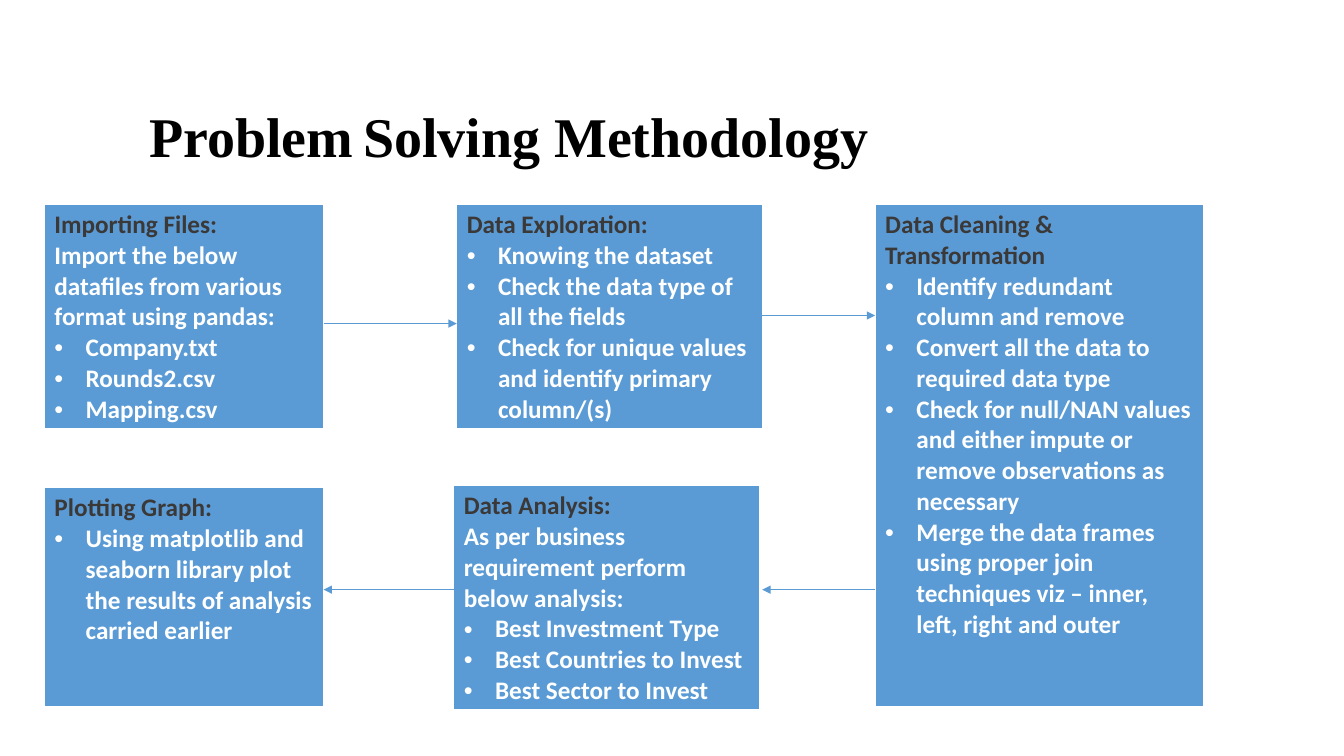
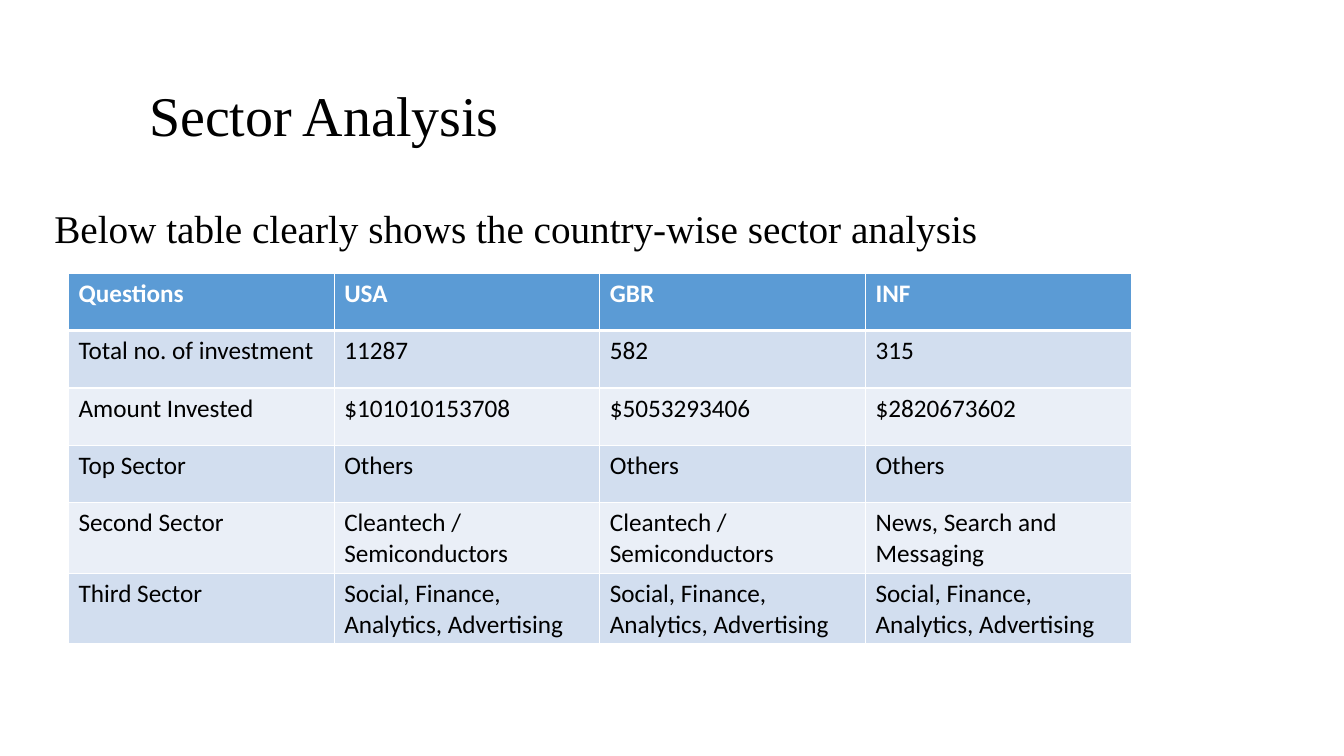
from lxml.etree import SubElement
from pptx import Presentation
from pptx.dml.color import RGBColor
from pptx.enum.shapes import MSO_CONNECTOR
from pptx.enum.text import MSO_ANCHOR, MSO_AUTO_SIZE, PP_ALIGN
from pptx.oxml.ns import qn
from pptx.util import Inches, Pt

COLORS = {
    "accent": "5B9BD5",
    "band_dark": "D2DEEF",
    "band_light": "EAEFF7",
    "heading": "3B3838",
    "text": "000000",
    "white": "FFFFFF",
}
SERIF = "Times New Roman"
SANS = "Calibri"

LEFT, CENTER, RIGHT = 0.44, 4.53, 8.68
TOP_ROW, BOTTOM_ROW = 2.03, 4.82
BOTTOM_ARROW = 5.85

CARDS = [
    (LEFT, TOP_ROW, 2.77, 2.2, "Importing Files:",
     "Import the below datafiles from various format using pandas:",
     ["Company.txt", "Rounds2.csv", "Mapping.csv"]),
    (CENTER, TOP_ROW, 3.03, 2.2, "Data Exploration:", None,
     ["Knowing the dataset",
      "Check the data type of all the fields",
      "Check for unique values and identify primary column/(s)"]),
    (RIGHT, TOP_ROW, 3.26, 4.99, "Data Cleaning & Transformation", None,
     ["Identify redundant column and remove",
      "Convert all the data to required data type",
      "Check for null/NAN values and either impute or remove observations as necessary",
      "Merge the data frames using proper join techniques viz – inner, left, right and outer"]),
    (4.5, BOTTOM_ROW, 3.03, 2.2, "Data Analysis:",
     "As per business requirement perform below analysis:",
     ["Best Investment Type", "Best Countries to Invest", "Best Sector to Invest"]),
    (LEFT, 4.84, 2.77, 2.18, "Plotting Graph:", None,
     ["Using matplotlib and seaborn library plot the results of analysis carried earlier"]),
]
ARROWS = [
    (3.21, CENTER, 3.21),
    (7.56, RIGHT, 3.13),
    (RIGHT, 7.56, BOTTOM_ARROW),
    (4.5, 3.21, BOTTOM_ARROW),
]
SECTORS = [
    ["Questions", "USA", "GBR", "INF"],
    ["Total no. of investment", "11287", "582", "315"],
    ["Amount Invested", "$101010153708", "$5053293406", "$2820673602"],
    ["Top Sector"] + ["Others"] * 3,
    ["Second Sector"] + ["Cleantech / Semiconductors"] * 2 + ["News, Search and Messaging"],
    ["Third Sector"] + ["Social, Finance, Analytics, Advertising"] * 3,
]


class Deck:
    def __init__(self):
        self.presentation = Presentation()
        self.presentation.slide_width = Inches(13.33)
        self.presentation.slide_height = Inches(7.5)
        self.slide = None

    def new_slide(self):
        self.slide = self.presentation.slides.add_slide(self.presentation.slide_layouts[5])

    def style(self, paragraph, size, color, face=SANS, bold=False):
        font = paragraph.font
        font.name, font.size, font.bold = face, Pt(size), bold
        font.color.rgb = RGBColor.from_string(COLORS[color])

    def title(self, top, parts, bold=False):
        heading = self.slide.shapes.title
        heading.left, heading.top = Inches(1.38), Inches(top)
        heading.width, heading.height = Inches(10.19), Inches(0.94)
        frame = heading.text_frame
        frame.auto_size = MSO_AUTO_SIZE.NONE
        frame.vertical_anchor = MSO_ANCHOR.MIDDLE
        paragraph = frame.paragraphs[0]
        paragraph.alignment = PP_ALIGN.LEFT
        paragraph.line_spacing = 0.9
        self.style(paragraph, 40, "text", SERIF, bold)
        for text, size in parts:
            run = paragraph.add_run()
            run.text = text
            run.font.size = Pt(size)

    def statement(self, left, top, width, height, text):
        box = self.slide.shapes.add_textbox(
            Inches(left), Inches(top), Inches(width), Inches(height))
        box.text_frame.word_wrap = True
        paragraph = box.text_frame.paragraphs[0]
        paragraph.text = text
        paragraph.line_spacing = 0.9
        self.style(paragraph, 28, "text", SERIF)

    def grid(self, rows, columns, left, top, width, height):
        table = self.slide.shapes.add_table(
            rows, columns, Inches(left), Inches(top), Inches(width), Inches(height)).table
        table.first_row = table.horz_banding = False
        return table

    def paint_cell(self, cell, fill, top=None, bottom=1):
        properties = cell._tc.get_or_add_tcPr()
        for side, weight in (("L", 1), ("R", 1), ("T", top), ("B", bottom)):
            if weight:
                border = SubElement(properties, qn(f"a:ln{side}"), w=str(Pt(weight)))
                solid = SubElement(border, qn("a:solidFill"))
                SubElement(solid, qn("a:srgbClr"), val=COLORS["white"])
        cell.fill.solid()
        cell.fill.fore_color.rgb = RGBColor.from_string(COLORS[fill])

    def bullet(self, paragraph):
        properties = paragraph._p.get_or_add_pPr()
        properties.set("marL", str(Inches(0.31)))
        properties.set("indent", str(Inches(-0.31)))
        SubElement(properties, qn("a:buFont"), typeface="Arial")
        SubElement(properties, qn("a:buChar"), char="•")

    def card(self, left, top, width, height, heading, intro, points):
        cell = self.grid(1, 1, left, top, width, height).cell(0, 0)
        self.paint_cell(cell, "accent", top=1, bottom=3)
        frame = cell.text_frame
        frame.text = heading
        self.style(frame.paragraphs[0], 18, "heading", bold=True)
        for text in ([intro] if intro else []) + points:
            paragraph = frame.add_paragraph()
            paragraph.text = text
            if text != intro:
                self.bullet(paragraph)
            self.style(paragraph, 18, "white", bold=True)

    def arrow(self, start, end, y):
        connector = self.slide.shapes.add_connector(
            MSO_CONNECTOR.STRAIGHT, Inches(start), Inches(y), Inches(end), Inches(y))
        connector.line.color.rgb = RGBColor.from_string(COLORS["accent"])
        connector.line.width = Pt(0.5)
        SubElement(connector.line._get_or_add_ln(), qn("a:tailEnd"), type="triangle")
        SubElement(connector._element.spPr, qn("a:effectLst"))

    def data_table(self, left, top, width, row_height, rows):
        table = self.grid(len(rows), len(rows[0]), left, top, width, row_height * len(rows))
        for r, values in enumerate(rows):
            header = r == 0
            fill = "accent" if header else "band_dark" if r % 2 else "band_light"
            for c, value in enumerate(values):
                cell = table.cell(r, c)
                self.paint_cell(cell, fill, 1 if header else None, 3 if header else 1)
                cell.text = value
                self.style(cell.text_frame.paragraphs[0], 18,
                           "white" if header else "text", bold=header)


def main():
    deck = Deck()

    deck.new_slide()
    deck.title(0.91, [("Problem", 40), (" ", 28), ("Solving Methodology", 40)], bold=True)
    for card in CARDS:
        deck.card(*card)
    for arrow in ARROWS:
        deck.arrow(*arrow)

    deck.new_slide()
    deck.title(0.7, [("Sector Analysis", 40)])
    deck.statement(LEFT, TOP_ROW, 12.21, 0.65,
                   "Below table clearly shows the country-wise sector analysis")
    deck.data_table(0.68, 2.71, 10.54, 0.57, SECTORS)

    deck.presentation.save("out.pptx")


if __name__ == "__main__":
    main()
